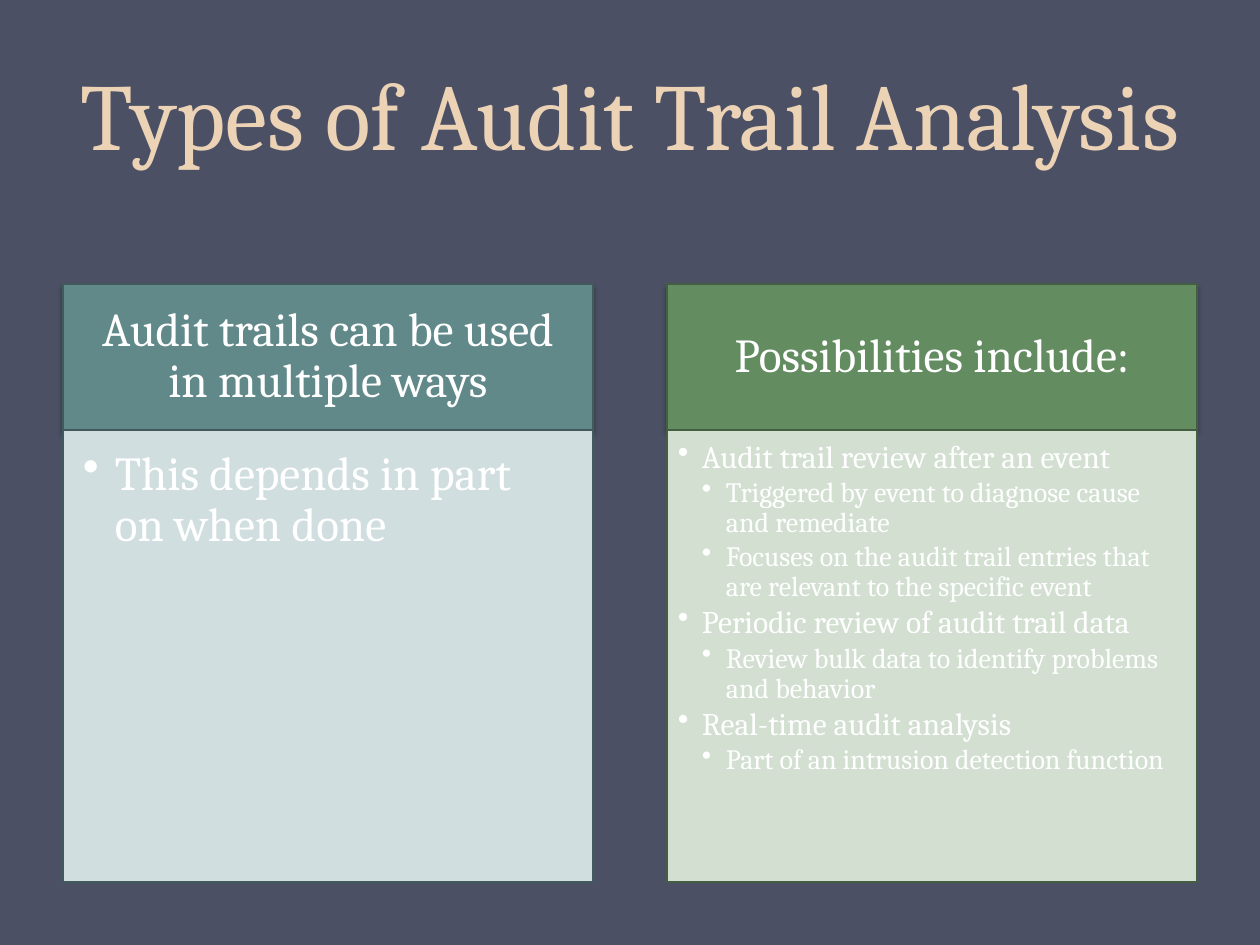
import pptx
import pptx.dml.color
import pptx.enum.shapes
import pptx.enum.text
import pptx.oxml
import pptx.oxml.ns
import pptx.util

ALIGN = pptx.enum.text.PP_ALIGN
ANCHOR = pptx.enum.text.MSO_ANCHOR
NS = pptx.oxml.ns.nsdecls("a")


def px(count):
    """Turn px into EMU."""
    return pptx.util.Emu(round(count * 914400 / 126))


def color(code):
    """Turn a hex string into a colour."""
    return pptx.dml.color.RGBColor.from_string(code)


def put(item, values):
    """Set each named value on an object."""
    for name, value in values.items():
        setattr(item, name, value)


class Deck:
    """Hold the style and the current slide."""

    face = "Cambria"
    white = "FFFFFF"
    lead = 0.9

    def __init__(self, wide, high, back):
        """Start a deck with one blank slide."""
        self.show = pptx.Presentation()
        put(self.show, {"slide_width": px(wide), "slide_height": px(high)})
        self.slide = self.show.slides.add_slide(self.show.slide_layouts[6])
        self.slide.background.fill.solid()
        self.slide.background.fill.fore_color.rgb = color(back)

    def frame(self, shape, pads, anchor):
        """Set up the text frame of a shape."""
        names = ("margin_left", "margin_top", "margin_right", "margin_bottom")
        frame = shape.text_frame
        put(frame, {"word_wrap": True, "vertical_anchor": anchor})
        put(frame, {name: px(pad) for name, pad in zip(names, pads)})
        return frame

    def label(self, para, text, size, tint, form):
        """Add one run to a paragraph."""
        put(para, form)
        run = para.add_run()
        run.text = text
        put(run.font, {"name": self.face, "size": pptx.util.Pt(size)})
        run.font.color.rgb = color(tint)

    def title(self, box, text, size, tint):
        """Add the title."""
        shape = self.slide.shapes.add_textbox(*map(px, box))
        frame = self.frame(shape, (13, 6, 13, 6), ANCHOR.BOTTOM)
        form = {"alignment": ALIGN.CENTER, "line_spacing": pptx.util.Pt(58)}
        self.label(frame.paragraphs[0], text, size, tint, form)

    def panel(self, box, fill, edge):
        """Add a filled rectangle with a thin edge."""
        kind = pptx.enum.shapes.MSO_SHAPE.RECTANGLE
        shape = self.slide.shapes.add_shape(kind, *map(px, box))
        shape.shadow.inherit = False
        shape.fill.solid()
        shape.fill.fore_color.rgb = color(fill)
        shape.line.color.rgb = color(edge)
        shape.line.width = pptx.util.Pt(0.75)
        return shape

    def head(self, box, text, fill, edge):
        """Add a column heading with a soft shadow."""
        shape = self.panel(box, fill, edge)
        glow = pptx.oxml.parse_xml(
            f'<a:outerShdw {NS} blurRad="39370" dist="22860" dir="5400000" rotWithShape="0">'
            '<a:srgbClr val="000000"><a:alpha val="35000"/></a:srgbClr></a:outerShdw>')
        shape.element.spPr.find(pptx.oxml.ns.qn("a:effectLst")).append(glow)
        frame = self.frame(shape, (26, 15, 26, 15), ANCHOR.MIDDLE)
        form = {"alignment": ALIGN.CENTER, "line_spacing": self.lead}
        self.label(frame.paragraphs[0], text, 27, self.white, form)

    def bullets(self, box, items, fill, edge, sizes, step, pads):
        """Add a column body with bullets on two levels."""
        frame = self.frame(self.panel(box, fill, edge), pads, ANCHOR.TOP)
        form = {"alignment": ALIGN.LEFT, "line_spacing": self.lead,
                "space_after": pptx.util.Pt(2)}
        for row, (level, text) in enumerate(items):
            para = frame.add_paragraph() if row else frame.paragraphs[0]
            props = para._p.get_or_add_pPr()
            props.set("marL", str(px(step * (level + 1))))
            props.set("indent", str(px(-step)))
            props.append(pptx.oxml.parse_xml(f'<a:buChar {NS} char="•"/>'))
            self.label(para, text, sizes[level], self.white, {**form, "level": level})


COLUMNS = [
    {"head": "Audit trails can be used in multiple ways",
     "dark": "61898A", "pale": "D1DEDF", "edge": "415B5C",
     "sizes": (27,), "step": 32, "pads": (20, 20, 26, 30),
     "items": [(0, "This depends in part on when done")]},
    {"head": "Possibilities include:",
     "dark": "648C61", "pale": "D2DFD1", "edge": "435E40",
     "sizes": (18, 16), "step": 24, "pads": (11, 11, 15, 18),
     "items": [
         (0, "Audit trail review after an event"),
         (1, "Triggered by event to diagnose cause and remediate"),
         (1, "Focuses on the audit trail entries that are relevant to the specific event"),
         (0, "Periodic review of audit trail data"),
         (1, "Review bulk data to identify problems and behavior"),
         (0, "Real-time audit analysis"),
         (1, "Part of an intrusion detection function")]},
]


def main():
    """Build the slide."""
    deck = Deck(1260, 945, "4B5064")
    deck.title((0, 0, 1260, 175), "Types of Audit Trail Analysis", 54, "EDD3B6")
    left, top, wide, gap, high, rest = 63, 284, 530, 74, 146, 452
    for spot, col in enumerate(COLUMNS):
        start = left + spot * (wide + gap)
        deck.head((start, top, wide, high), col["head"], col["dark"], col["edge"])
        deck.bullets((start, top + high, wide, rest), col["items"], col["pale"],
                     col["edge"], col["sizes"], col["step"], col["pads"])
    deck.show.save("out.pptx")


if __name__ == "__main__":
    main()
